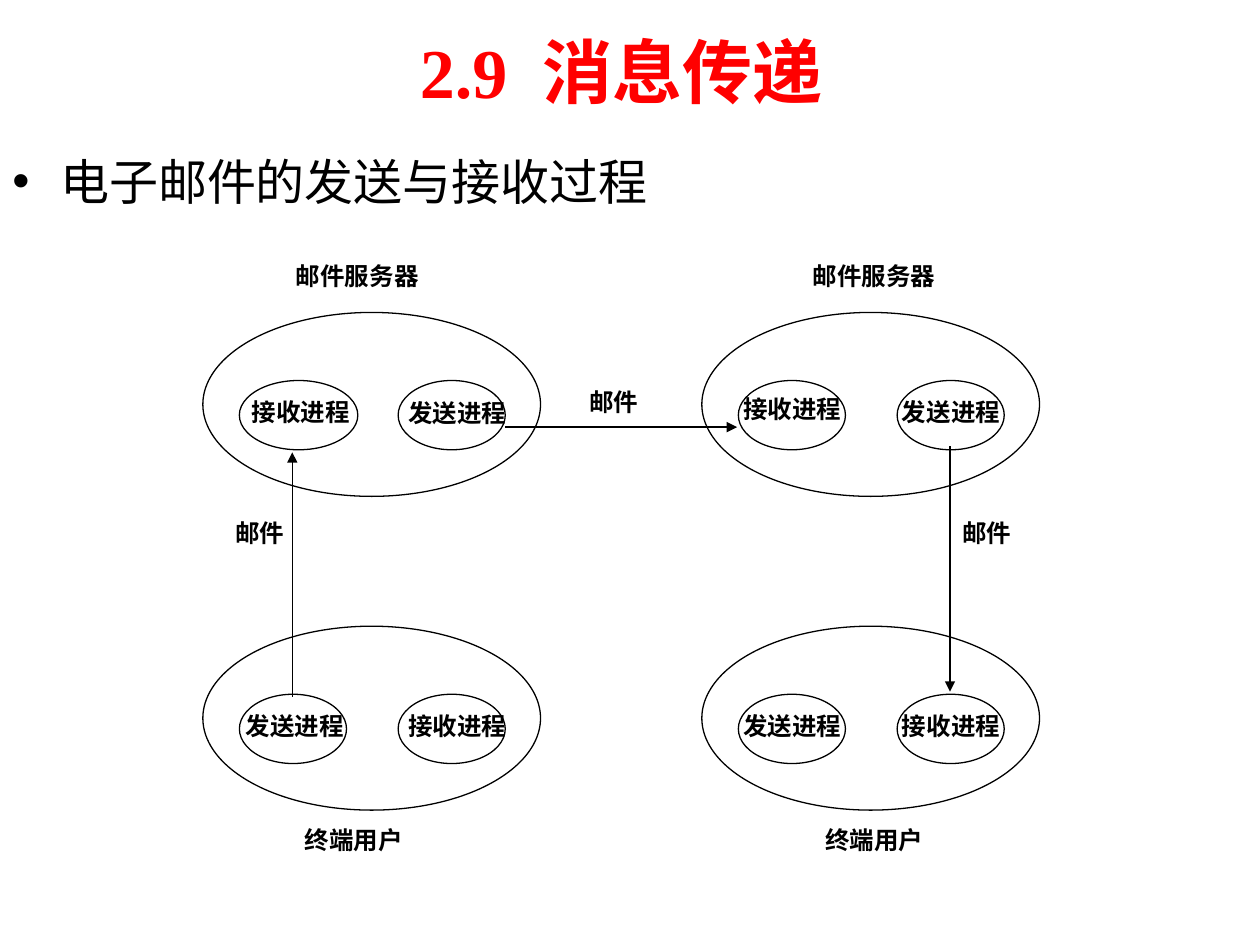
from pptx import Presentation
from pptx.dml.color import RGBColor
from pptx.enum.shapes import MSO_CONNECTOR, MSO_SHAPE
from pptx.enum.text import MSO_ANCHOR, PP_ALIGN
from pptx.oxml.ns import qn
from pptx.util import Inches, Pt
from lxml import etree

FONT = "Times New Roman"
BLACK, RED = "000000", "FF0000"
HOST = (26.8, 14.6)  # size of a host ellipse
PROC = (8.5, 5.5)    # size of a process ellipse


def grid(n):
    """Length of n cells; the slide has 100 columns and 75 rows."""
    return Inches(n / 10)


def hue(code):
    return RGBColor.from_string(code)


def add_text(slide, box, words, size, color=BLACK, bold=False,
             align=PP_ALIGN.JUSTIFY, right=0):
    frame = slide.shapes.add_textbox(*map(grid, box)).text_frame
    frame.word_wrap = True
    frame.margin_right = grid(right)
    para = frame.paragraphs[0]
    para.alignment = align
    run = para.add_run()
    run.text = words
    font = run.font
    font.name, font.size, font.bold = FONT, Pt(size), bold
    font.color.rgb = hue(color)
    return frame


def add_label(slide, x, y, words, wide=9.9):
    add_text(slide, (x, y, wide, 4), words, 14, bold=True)


def add_oval(slide, x, y, wide, high):
    oval = slide.shapes.add_shape(MSO_SHAPE.OVAL, *map(grid, (x, y, wide, high)))
    oval.shadow.inherit = False
    oval.fill.background()
    oval.line.color.rgb = hue(BLACK)
    oval.line.width = Pt(0.75)


def add_arrow(slide, *ends):
    arrow = slide.shapes.add_connector(MSO_CONNECTOR.STRAIGHT, *map(grid, ends))
    arrow.line.color.rgb = hue(BLACK)
    arrow.line.width = Pt(0.75)
    props = arrow.line._get_or_add_ln()
    etree.SubElement(props, qn("a:tailEnd"), type="triangle")
    etree.SubElement(arrow._element.spPr, qn("a:effectLst"))


def add_title(slide, box):
    frame = add_text(slide, box, "2.9  消息传递", 40, RED, True,
                     PP_ALIGN.CENTER, right=2.4)
    frame.vertical_anchor = MSO_ANCHOR.MIDDLE


def add_body(slide, box):
    frame = add_text(slide, box, "电子邮件的发送与接收过程", 28,
                     align=PP_ALIGN.LEFT, right=1)
    para = frame.paragraphs[0]
    para.space_before = Pt(5.6)
    props = para._p.get_or_add_pPr()
    props.set("marL", str(grid(3.8)))
    props.set("indent", str(-grid(3.8)))
    etree.SubElement(props, qn("a:buFont"), typeface="Arial")
    etree.SubElement(props, qn("a:buChar"), char="•")


def add_host(slide, x, y, name, shift, procs):
    """One mail host: outer ellipse, its name and two processes."""
    add_oval(slide, x, y, *HOST)
    add_label(slide, x + shift[0], y + shift[1], name, 14.1)
    for col, (words, dx, dy, wide) in zip((2.9, 15.5), procs):
        add_oval(slide, x + col, y + 5.4, wide, PROC[1])
        add_label(slide, x + dx, y + dy, words)


def add_flow(slide, x, y):
    """Four hosts and the mail passed between them."""
    recv, send = "接收进程", "发送进程"
    server, user = "邮件服务器", "终端用户"
    cols, rows = (x, x + 39.6), (y, y + 24.9)
    wide = PROC[0]
    hosts = [
        (0, 0, server, (6.4, -4.6), [(recv, 2.9, 6.2, 9.4), (send, 15.3, 6.3, wide)]),
        (1, 0, server, (7.8, -4.6), [(recv, 2.3, 6, wide), (send, 14.9, 6.2, wide)]),
        (0, 1, user, (7.1, 15.3), [(send, 2.4, 6.2, wide), (recv, 15.3, 6.2, wide)]),
        (1, 1, user, (8.8, 15.3), [(send, 2.3, 6.2, wide), (recv, 14.9, 6.2, wide)]),
    ]
    for col, row, name, shift, procs in hosts:
        add_host(slide, cols[col], rows[row], name, shift, procs)

    # Each arrow with the place of its label
    mails = [
        ((7.1, 30.5, 7.1, 11.1), (1.6, 15.8)),
        ((24, 9.1, 42.4, 9.1), (29.7, 5.4)),
        ((59.3, 10.6, 59.3, 30.1), (59.3, 15.8)),
    ]
    for (x1, y1, x2, y2), (dx, dy) in mails:
        add_arrow(slide, x + x1, y + y1, x + x2, y + y2)
        add_label(slide, x + dx, y + dy, "邮件", 7)


def main():
    deck = Presentation()
    deck.slide_width, deck.slide_height = grid(100), grid(75)
    slide = deck.slides.add_slide(deck.slide_layouts[6])
    add_title(slide, (5, 0.5, 90, 10.2))
    add_body(slide, (0, 11.5, 97.2, 55.9))
    add_flow(slide, 16.1, 24.8)
    deck.save("out.pptx")


if __name__ == "__main__":
    main()
